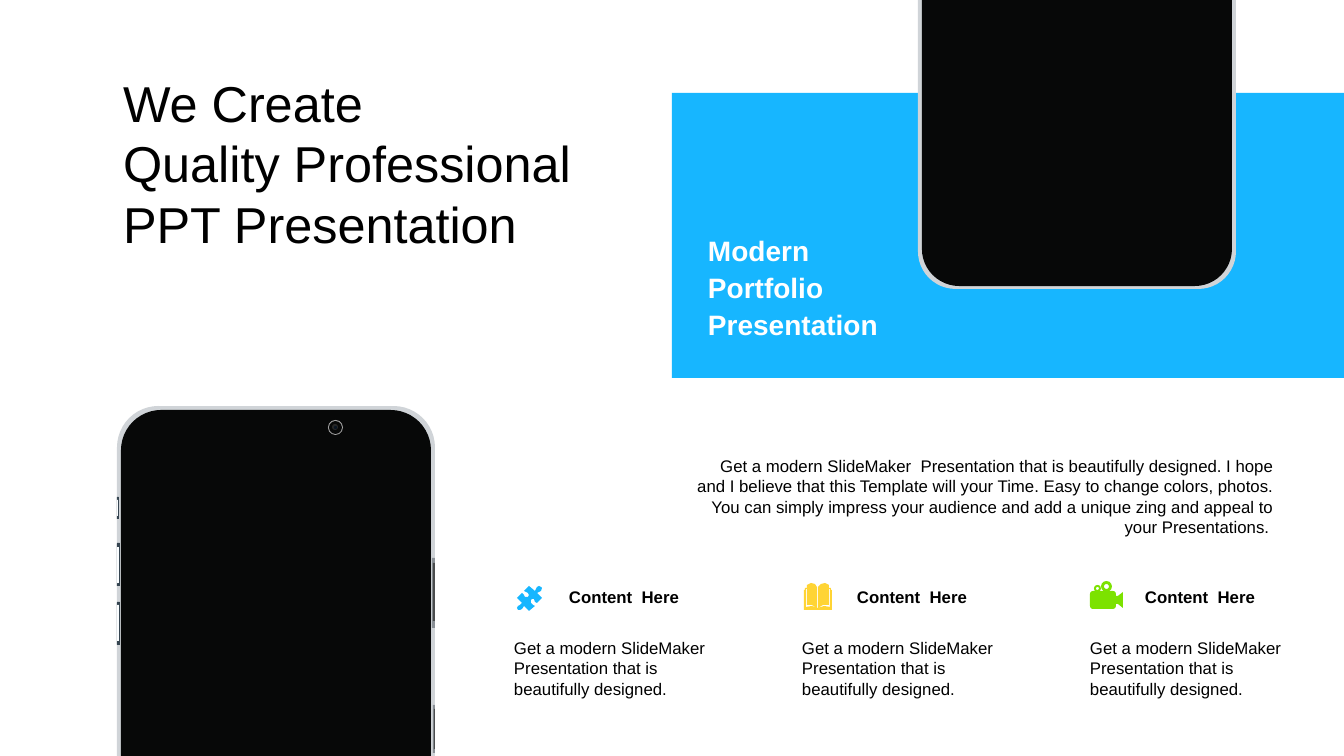
import pptx
import pptx.util
import pptx.dml.color
import pptx.enum.shapes
import pptx.enum.text

PX = 914400 / 100.8
KIND = pptx.enum.shapes.MSO_SHAPE
ALIGN = pptx.enum.text.PP_ALIGN
ANCHOR = pptx.enum.text.MSO_ANCHOR
BLUE, SILVER, BLACK = "17B6FF", "D0D4D8", "070808"
SLATE, PALE, GREY, DARK = "364551", "FAFDFF", "8A9096", "4A4C4D"
YELLOW, GREEN = "FFD434", "7CE200"

deck = pptx.Presentation()
deck.slide_width = round(1344 * PX)
deck.slide_height = round(756 * PX)
slide = deck.slides.add_slide(deck.slide_layouts[6])
shapes = slide.shapes


def paint(item, color):
    """Plain fill, no line, no shadow."""
    item.shadow.inherit = False
    item.fill.solid()
    item.fill.fore_color.rgb = pptx.dml.color.RGBColor.from_string(color)
    item.line.fill.background()


def write(text, box, size=12, color="000000", bold=False, align=ALIGN.LEFT,
          anchor=ANCHOR.TOP, inset=(10, 5), lead=None):
    frame = shapes.add_textbox(*[round(v * PX) for v in box]).text_frame
    frame.word_wrap = True
    frame.vertical_anchor = anchor
    frame.margin_left = frame.margin_right = round(inset[0] * PX)
    frame.margin_top = frame.margin_bottom = round(inset[1] * PX)
    frame.text = text
    for para in frame.paragraphs:
        para.alignment = align
        if lead:
            para.line_spacing = lead
        para.font.name = "Arial"
        para.font.size = pptx.util.Pt(size)
        para.font.bold = bold
        para.font.color.rgb = pptx.dml.color.RGBColor.from_string(color)


# Preset shapes from back to front: kind, box, colour, adjustments
cap, pill, oval = KIND.ROUND_2_SAME_RECTANGLE, KIND.ROUNDED_RECTANGLE, KIND.OVAL
parts = [
    (KIND.RECTANGLE, (672, 93, 672, 285), BLUE, ()),
    # Lower phone
    (cap, (117, 406, 318, 350), SILVER, (0.13, 0)),
    (cap, (121, 410, 310, 346), BLACK, (0.13, 0)),
    # Left keys
    (pill, (117, 497, 2, 22), SLATE, ()),
    (pill, (117, 500, 1, 16), PALE, ()),
    (pill, (117, 543, 3, 43), SLATE, ()),
    (pill, (117, 547, 2, 36), PALE, ()),
    (pill, (117, 602, 3, 43), SLATE, ()),
    (pill, (117, 605, 2, 36), PALE, ()),
    # Right keys
    (pill, (432, 558, 3, 70), GREY, ()),
    (pill, (433, 563, 2, 58), DARK, ()),
    (pill, (433, 705, 2, 48), GREY, ()),
    (pill, (434, 709, 1, 40), DARK, ()),
    # Lens
    (oval, (328, 420, 15, 15), "A6A6A6", ()),
    (oval, (329, 421, 13, 13), BLACK, ()),
    (oval, (332, 424, 6, 6), "262626", ()),
    (oval, (334, 426, 3, 3), "081422", ()),
    # Upper phone
    (cap, (918, 0, 318, 289), SILVER, (0, 0.13)),
    (cap, (922, 0, 310, 286), BLACK, (0, 0.13)),
    # Film camera: body and reels
    (pill, (1090, 591, 26, 18), GREEN, (0.17,)),
    (KIND.DONUT, (1094, 585, 7, 7), GREEN, (0.28,)),
    (KIND.DONUT, (1101, 581, 11, 11), GREEN, (0.27,)),
]
for kind, box, color, tweaks in parts:
    item = shapes.add_shape(kind, *[round(v * PX) for v in box])
    for i, value in enumerate(tweaks):
        item.adjustments[i] = value
    paint(item, color)

# Icon outlines: puzzle, book, camera front
puzzle = [
    (541, 587), (542, 588), (541, 591), (539, 592), (537, 593), (542, 598),
    (537, 603), (535, 602), (534, 599), (532, 599), (531, 600), (531, 603),
    (533, 605), (535, 606), (529, 611), (524, 606), (522, 609), (520, 610),
    (518, 610), (517, 608), (518, 606), (520, 605), (522, 603), (517, 598),
    (522, 593), (524, 595), (525, 597), (528, 597), (529, 595), (528, 593),
    (526, 592), (524, 591), (529, 586), (535, 591), (537, 587), (539, 586)]
book = [
    (817, 608), (818, 608), (824, 606), (830, 607), (830, 589), (829, 589),
    (829, 605), (823, 605), (818, 608), (818, 587), (821, 584), (825, 583),
    (829, 585), (829, 588), (831, 588), (831, 590), (832, 590), (832, 610),
    (804, 610), (804, 590), (805, 590), (805, 588), (807, 588), (807, 585),
    (811, 583), (815, 584), (817, 587), (817, 608), (812, 605), (807, 605),
    (807, 589), (806, 589), (806, 607), (812, 606)]
front = [(1116, 596), (1118, 596), (1123, 592), (1123, 608), (1118, 604),
         (1116, 604)]
for points, color in ((puzzle, BLUE), (book, YELLOW), (front, GREEN)):
    pen = shapes.build_freeform(*points[0], scale=PX)
    pen.add_line_segments(points[1:], close=True)
    paint(pen.convert_to_shape(), color)

# Title, banner and introduction
write("We Create\nQuality Professional\nPPT Presentation", (119, 71, 597, 183),
      size=36, anchor=ANCHOR.MIDDLE, inset=(4, 0))
write("Modern Portfolio Presentation", (698, 219, 238, 133), size=20,
      color="FFFFFF", bold=True, anchor=ANCHOR.MIDDLE, lead=1.1)
write("Get a modern SlideMaker  Presentation that is beautifully designed. "
      "I hope and I believe that this Template will your Time. Easy to change "
      "colors, photos. You can simply impress your audience and add a unique "
      "zing and appeal to your Presentations. ",
      (687, 451, 597, 92), align=ALIGN.RIGHT)

# Three columns
for col in range(3):
    left = 504 + 288 * col
    write("Content  Here", (left + 55, 582, 147, 30), bold=True)
    write("Get a modern SlideMaker  Presentation that is beautifully designed.",
          (left, 633, 223, 72))

deck.save("out.pptx")
